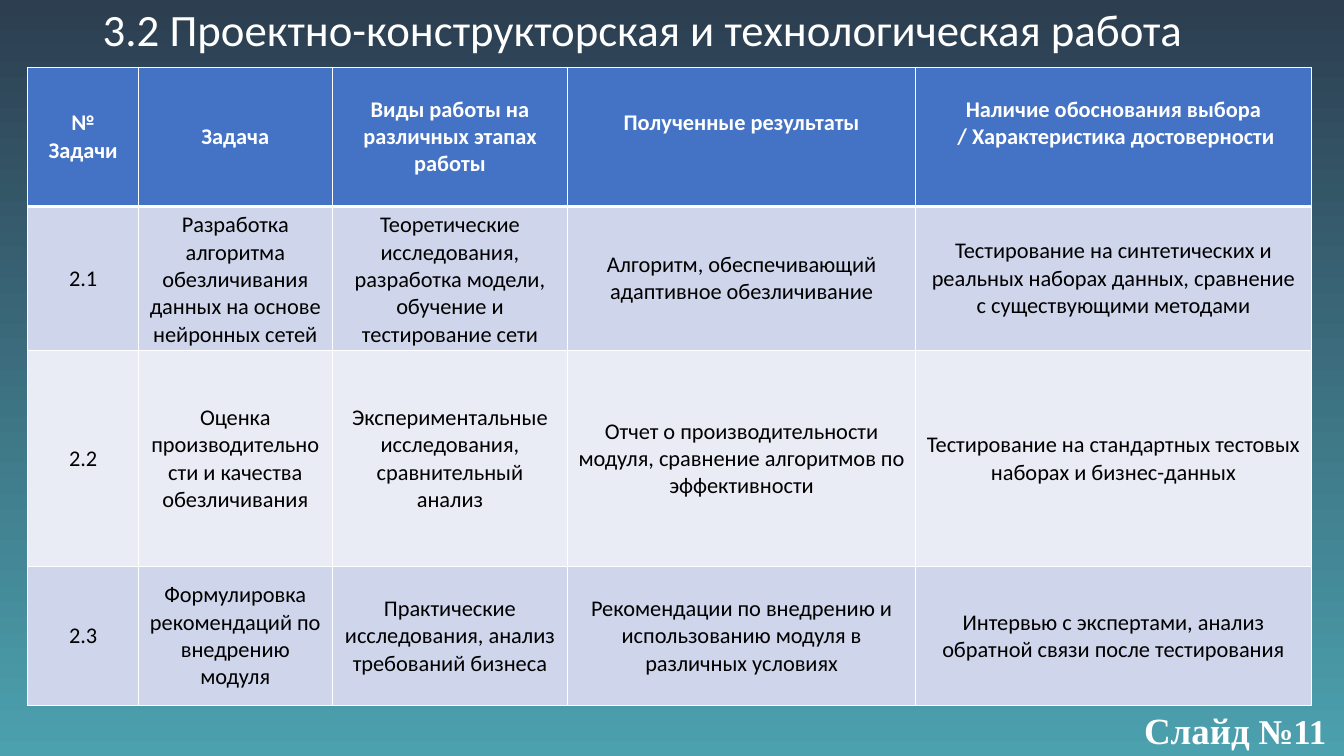
from pptx import Presentation
from pptx.dml.color import RGBColor
from pptx.enum.text import MSO_ANCHOR as Anchor, PP_ALIGN as Align
from pptx.oxml import parse_xml
from pptx.oxml.ns import nsdecls
from pptx.util import Cm, Pt

WHITE, BLACK = "FFFFFF", "000000"
HEADER_FILL, BAND_FILLS = "4472C4", ("CFD5EA", "E9EBF5")
COLUMN_WIDTHS = (2.79, 4.88, 5.94, 8.76, 9.98)
ROW_HEIGHTS = (3.5, 3.5, 5.44, 3.5)
RAISED_COLUMNS = (3, 4)  # headings that sit half a line above the middle

TASKS = (
    ("№ Задачи", "Задача", "Виды работы на различных этапах работы",
     "Полученные результаты",
     "Наличие обоснования выбора\n / Характеристика достоверности"),
    ("2.1", "Разработка алгоритма обезличивания данных на основе нейронных сетей",
     "Теоретические исследования, разработка модели, обучение и тестирование сети",
     "Алгоритм, обеспечивающий адаптивное обезличивание",
     "Тестирование на синтетических и реальных наборах данных, "
     "сравнение с существующими методами"),
    ("2.2", "Оценка производительности и качества обезличивания",
     "Экспериментальные исследования, сравнительный анализ",
     "Отчет о производительности модуля, сравнение алгоритмов по эффективности",
     "Тестирование на стандартных тестовых наборах и бизнес-данных"),
    ("2.3", "Формулировка рекомендаций по внедрению модуля",
     "Практические исследования, анализ требований бизнеса",
     "Рекомендации по внедрению и использованию модуля в различных условиях",
     "Интервью с экспертами, анализ обратной связи после тестирования"),
)


def color(value):
    return RGBColor.from_string(value)


class SlideBuilder:
    def __init__(self, slide, font="Calibri"):
        self.slide = slide
        self.font = font

    def background(self, top, bottom):
        fill = self.slide.background.fill
        fill.gradient()
        fill.gradient_angle = 270
        for stop, value in zip(fill.gradient_stops, (top, bottom)):
            stop.color.rgb = color(value)

    def style(self, paragraph, size, value, bold=False, font=None):
        paragraph.font.name = font or self.font
        paragraph.font.bold = bold
        paragraph.font.color.rgb = color(value)
        if size:
            paragraph.font.size = Pt(size)

    def text_box(self, left, top, width, height, anchor, align, spacing):
        """Add an empty text box and return its frame and first paragraph."""
        box = self.slide.shapes.add_textbox(Cm(left), Cm(top), Cm(width), Cm(height))
        frame = box.text_frame
        frame.word_wrap = True
        frame.vertical_anchor = anchor
        paragraph = frame.paragraphs[0]
        paragraph.alignment = align
        paragraph.line_spacing = spacing
        return frame, paragraph

    def title(self, text):
        frame, heading = self.text_box(2.34, -0.36, 35.56, 3.68, Anchor.TOP, Align.LEFT, 0.9)
        frame.margin_top = Cm(0.56)
        heading.text = text
        self.style(heading, 32, WHITE)

    def slide_number(self, word, number):
        _, label = self.text_box(28.4, 17.35, 5.46, 1.68, Anchor.BOTTOM, Align.CENTER, 0.7)
        for text, size in ((word, 26.4), (number, 24.8)):
            run = label.add_run()
            run.text = text
            run.font.size = Pt(size)
        self.style(label, None, WHITE, bold=True, font="Times New Roman")

    def borders(self, cell, top, bottom):
        """Draw white cell borders; top and bottom are widths in points."""
        properties = cell._tc.get_or_add_tcPr()
        for side, width in (("L", 1), ("R", 1), ("T", top), ("B", bottom)):
            properties.append(parse_xml(
                f'<a:ln{side} {nsdecls("a")} w="{Pt(width)}"><a:solidFill>'
                f'<a:srgbClr val="{WHITE}"/></a:solidFill></a:ln{side}>'))

    def cell(self, cell, text, row):
        header = row == 0
        cell.text = text
        cell.vertical_anchor = Anchor.MIDDLE
        for paragraph in cell.text_frame.paragraphs:
            paragraph.alignment = Align.CENTER
            self.style(paragraph, 16, WHITE if header else BLACK, bold=header)
        self.borders(cell, 3 if row == 1 else 1, 3 if header else 1)
        cell.fill.solid()
        cell.fill.fore_color.rgb = color(HEADER_FILL if header else BAND_FILLS[(row - 1) % 2])

    def task_table(self, left, top):
        table = self.slide.shapes.add_table(
            len(ROW_HEIGHTS), len(COLUMN_WIDTHS), Cm(left), Cm(top),
            Cm(sum(COLUMN_WIDTHS)), Cm(sum(ROW_HEIGHTS))).table
        for column, width in zip(table.columns, COLUMN_WIDTHS):
            column.width = Cm(width)
        for row, height in zip(table.rows, ROW_HEIGHTS):
            row.height = Cm(height)
        for r, texts in enumerate(TASKS):
            for c, text in enumerate(texts):
                self.cell(table.cell(r, c), text, r)
        for c in RAISED_COLUMNS:
            table.cell(0, c).margin_bottom = Cm(0.82)


def main():
    deck = Presentation()
    deck.slide_width, deck.slide_height = Cm(33.87), Cm(19.05)
    builder = SlideBuilder(deck.slides.add_slide(deck.slide_layouts[6]))
    builder.background("2C3E50", "4CA1AF")
    builder.title("3.2 Проектно-конструкторская и технологическая работа")
    builder.task_table(0.7, 1.7)
    builder.slide_number("Слайд", " №11")
    deck.save("out.pptx")


if __name__ == "__main__":
    main()
